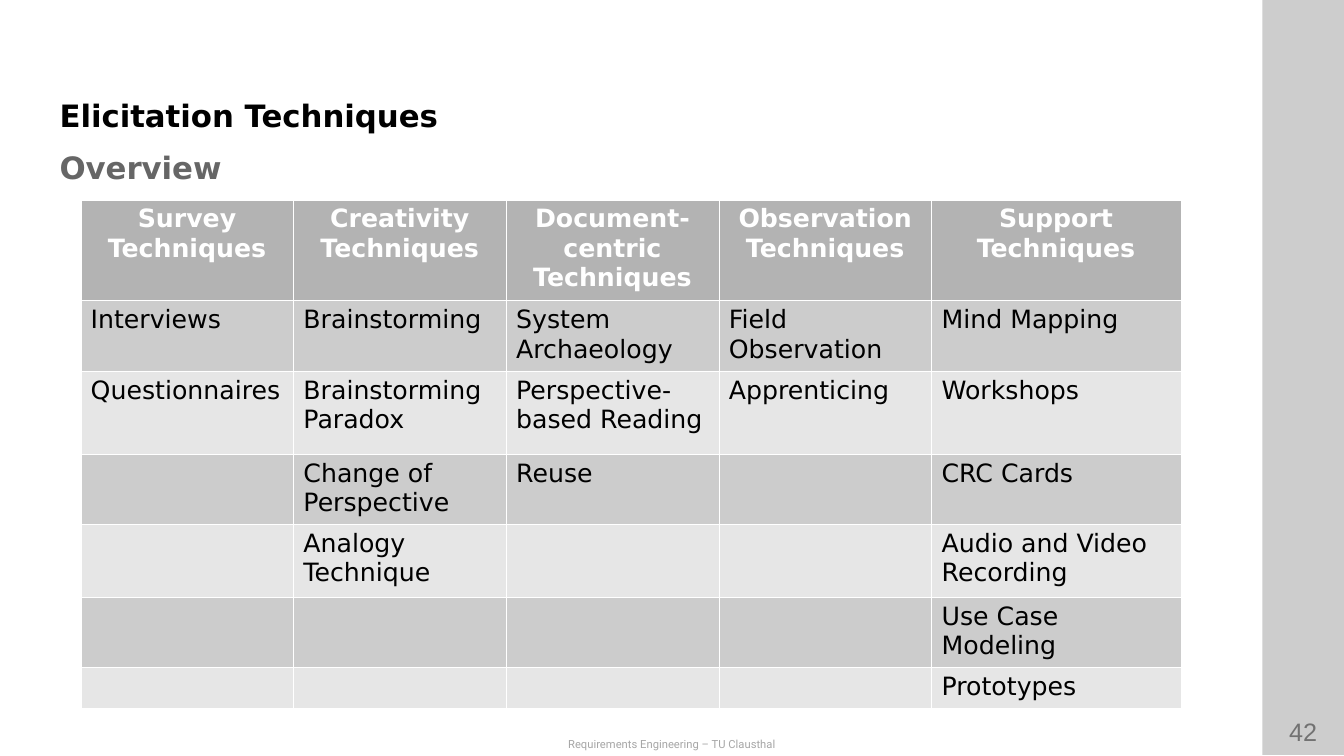
"""Builds the slide with the table of elicitation techniques."""
from lxml import etree
from pptx import Presentation
from pptx.dml.color import RGBColor
from pptx.enum import shapes, text
from pptx.oxml import ns
from pptx.util import Inches, Pt

TITLE = "Elicitation Techniques"
SUB = "Overview"
FOOT = "Requirements Engineering – TU Clausthal"
PAGE = "42"
GROUPS = {
    "Survey Techniques": ["Interviews", "Questionnaires"],
    "Creativity Techniques": ["Brainstorming", "Brainstorming Paradox",
                              "Change of Perspective", "Analogy Technique"],
    "Document-centric Techniques": ["System Archaeology",
                                    "Perspective-based Reading", "Reuse"],
    "Observation Techniques": ["Field Observation", "Apprenticing"],
    "Support Techniques": ["Mind Mapping", "Workshops", "CRC Cards",
                           "Audio and Video Recording", "Use Case Modeling",
                           "Prototypes"],
}
COLS = [2.11] * 4 + [2.47]
ROWS = [0.97, 0.68, 0.82, 0.68, 0.72, 0.68, 0.39]
WIDE, HIGH = 13.33, 7.5
BAND = 0.81
SANS = "DejaVu Sans"

BLACK = RGBColor(0, 0, 0)
WHITE = RGBColor(255, 255, 255)
DIM = RGBColor(0x66, 0x66, 0x66)
GREY = RGBColor(0x80, 0x80, 0x80)
PALE = RGBColor(0xA6, 0xA6, 0xA6)
HEAD = RGBColor(0xB3, 0xB3, 0xB3)
STRIPES = [RGBColor(0xCC, 0xCC, 0xCC), RGBColor(0xE6, 0xE6, 0xE6)]

LEFT, MID = text.PP_ALIGN.LEFT, text.PP_ALIGN.CENTER
TOP = text.MSO_ANCHOR.TOP


def write(frame, words, size=18, font=SANS, color=BLACK, bold=False, align=LEFT):
    frame.word_wrap = True
    para = frame.paragraphs[0]
    para.alignment = align
    run = para.add_run()
    run.text = words
    run.font.size, run.font.name, run.font.bold = Pt(size), font, bold
    run.font.color.rgb = color


def label(slide, words, box, anchor=TOP, pad=(0.1, 0.05), **form):
    frame = slide.shapes.add_textbox(*map(Inches, box)).text_frame
    frame.margin_left = frame.margin_right = Inches(pad[0])
    frame.margin_top = frame.margin_bottom = Inches(pad[1])
    frame.vertical_anchor = anchor
    write(frame, words, **form)


def strip(slide):
    box = (WIDE - BAND, 0, BAND, HIGH - 0.01)
    bar = slide.shapes.add_shape(shapes.MSO_SHAPE.RECTANGLE, *map(Inches, box))
    bar.shadow.inherit = False
    bar.line.fill.background()
    bar.fill.solid()
    bar.fill.fore_color.rgb = BLACK
    tone = bar.fill._xPr.find(".//" + ns.qn("a:srgbClr"))
    etree.SubElement(tone, ns.qn("a:alpha"), val="10000")


def edge(cell):
    props = cell._tc.get_or_add_tcPr()
    for spot, side in enumerate(("lnL", "lnR", "lnT", "lnB")):
        line = etree.Element(ns.qn("a:" + side), w=str(Pt(0.06)))
        fill = etree.SubElement(line, ns.qn("a:solidFill"))
        etree.SubElement(fill, ns.qn("a:srgbClr"), val=str(WHITE))
        props.insert(spot, line)


def grid(slide):
    box = (0.8, 1.98, sum(COLS), sum(ROWS))
    table = slide.shapes.add_table(len(ROWS), len(COLS), *map(Inches, box)).table
    for col, wide in zip(table.columns, COLS):
        col.width = Inches(wide)
    for row, high in zip(table.rows, ROWS):
        row.height = Inches(high)
    for c, (name, items) in enumerate(GROUPS.items()):
        for r in range(len(ROWS)):
            cell = table.cell(r, c)
            cell.fill.solid()
            cell.fill.fore_color.rgb = STRIPES[(r - 1) % 2] if r else HEAD
            edge(cell)
            if r == 0:
                write(cell.text_frame, name, color=WHITE, bold=True, align=MID)
            elif r <= len(items):
                write(cell.text_frame, items[r - 1])


def main():
    deck = Presentation()
    deck.slide_width, deck.slide_height = Inches(WIDE), Inches(HIGH)
    slide = deck.slides.add_slide(deck.slide_layouts[6])
    strip(slide)
    label(slide, PAGE, (WIDE - BAND - 0.01, 7.06, BAND + 0.02, 0.4),
          font="Arial", color=GREY, align=MID)
    strip(slide)
    label(slide, FOOT, (0, 7.27, WIDE, 0.23),
          size=8, font="Roboto", color=PALE, align=MID)
    heads = [(TITLE, BLACK, text.MSO_ANCHOR.BOTTOM), (SUB, DIM, text.MSO_ANCHOR.MIDDLE)]
    for n, (words, color, anchor) in enumerate(heads):
        label(slide, words, (0.59, 0.79 + 0.6 * n, 11.32, 0.54), anchor=anchor,
              pad=(0, 0), size=22, color=color, bold=True)
    grid(slide)
    deck.save("out.pptx")


if __name__ == "__main__":
    main()
